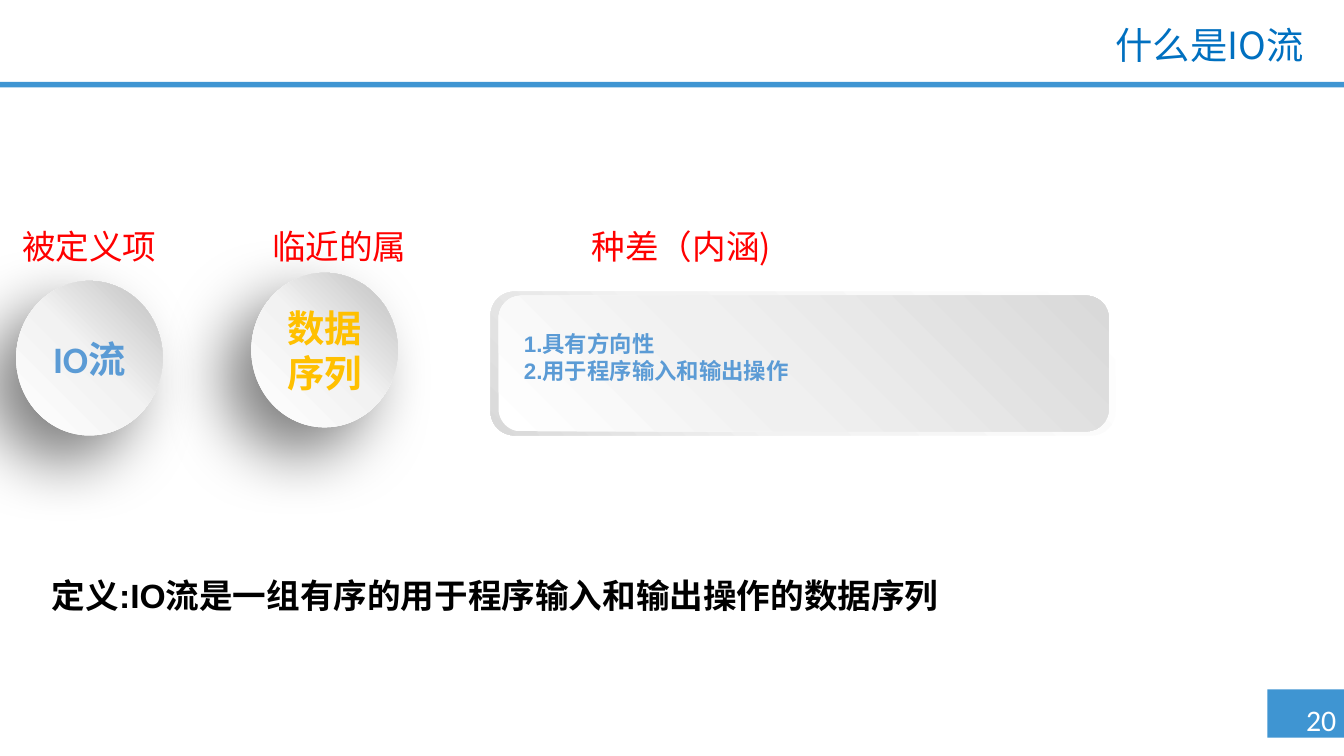
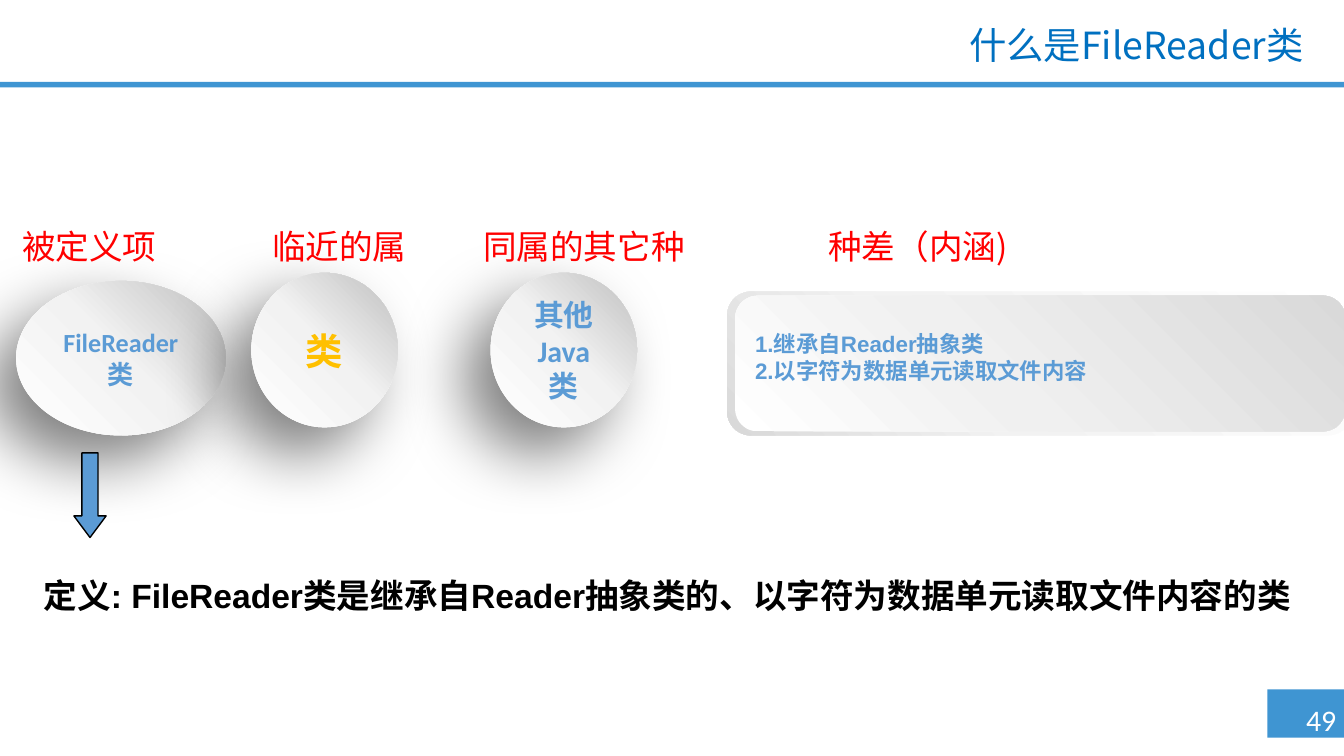
from lxml import etree
from pptx import Presentation
from pptx import util as u
from pptx.dml.color import RGBColor
from pptx.enum import shapes, text
from pptx.oxml.ns import qn

BAND = RGBColor(0x3F, 0x95, 0xD2)
TITLE = RGBColor(0x00, 0x70, 0xC0)
BLUE = RGBColor(0x5B, 0x9B, 0xD5)
GOLD = RGBColor(0xFF, 0xC0, 0x00)
RED = RGBColor(0xFF, 0x00, 0x00)
BLACK = RGBColor(0x00, 0x00, 0x00)
WHITE = RGBColor(0xFF, 0xFF, 0xFF)
LIGHT = RGBColor(0xF2, 0xF2, 0xF2)
PALE = RGBColor(0xF0, 0xF0, 0xF0)
SILVER = RGBColor(0xD9, 0xD9, 0xD9)
GREY = RGBColor(0xBF, 0xBF, 0xBF)

ARIAL, CALIBRI, NOTO = "Arial", "Calibri", "Noto Sans CJK SC"
CELL = u.Inches(0.1)  # the slide is a grid of 100 columns by 56.25 rows
CENTER, RIGHT, LEFT = text.PP_ALIGN.CENTER, text.PP_ALIGN.RIGHT, text.PP_ALIGN.LEFT
SHAPE = shapes.MSO_SHAPE

CIRCLE_STOPS = [(0, WHITE), (51, LIGHT), (100, GREY)]
RIM_STOPS = [(0, WHITE), (62, LIGHT), (100, SILVER)]
FACE_STOPS = [(0, WHITE), (42, PALE), (100, SILVER)]


def cells(*lengths):
    return [round(length * CELL) for length in lengths]


def apply(target, values):
    for name, value in values.items():
        setattr(target, name, value)


def write(box, lines, size, color, font, align=CENTER, bold=False, spacing=None):
    """Fill a shape with lines; a line is a string or a list of (words, font)."""
    frame = box.text_frame
    for index, line in enumerate(lines):
        para = frame.paragraphs[0] if index == 0 else frame.add_paragraph()
        apply(para, {"alignment": align, "line_spacing": spacing})
        for words, name in [(line, font)] if isinstance(line, str) else line:
            span = para.add_run()
            span.text = words
            apply(span.font, {"name": name, "size": u.Pt(size), "bold": bold})
            span.font.color.rgb = color
            east = etree.SubElement(span._r.get_or_add_rPr(), qn("a:ea"))
            east.set("typeface", NOTO)


def add_text(page, place, lines, size, color, font, **style):
    box = page.shapes.add_textbox(*cells(*place))
    apply(box.text_frame, {"word_wrap": True,
                           "auto_size": text.MSO_AUTO_SIZE.SHAPE_TO_FIT_TEXT})
    write(box, lines, size, color, font, **style)
    return box


def add_plain(holder, kind, place, color=None):
    """Add a shape without outline or shadow."""
    shape = holder.shapes.add_shape(kind, *cells(*place))
    shape.shadow.inherit = False
    shape.line.fill.background()
    if color is not None:
        shape.fill.solid()
        shape.fill.fore_color.rgb = color
    return shape


def shade(shape, stops, angle):
    """Fill with a linear gradient; the angle runs counter-clockwise."""
    shape.fill.gradient()
    shape.fill.gradient_angle = angle
    stop_list = shape._element.spPr.find(".//" + qn("a:gsLst"))
    for old in list(stop_list):
        stop_list.remove(old)
    for percent, color in stops:
        stop = etree.SubElement(stop_list, qn("a:gs"), pos=str(percent * 1000))
        etree.SubElement(stop, qn("a:srgbClr"), val=str(color))


def cast_shadow(shape):
    effects = shape._element.spPr.find(qn("a:effectLst"))
    shadow = etree.SubElement(
        effects, qn("a:outerShdw"), blurRad=str(u.Pt(35)), dist=str(u.Pt(20)),
        dir=str(135 * 60000), algn="tr", rotWithShape="0")
    tint = etree.SubElement(shadow, qn("a:srgbClr"), val=str(BLACK))
    etree.SubElement(tint, qn("a:alpha"), val="50000")


def add_circle(page, left, top, words, size, color, font, width=10.9):
    circle = add_plain(page, SHAPE.OVAL, (left, top, width, 11.5))
    shade(circle, CIRCLE_STOPS, 45)
    cast_shadow(circle)
    apply(circle.text_frame, {"word_wrap": True,
                              "vertical_anchor": text.MSO_ANCHOR.MIDDLE})
    write(circle, [words], size, color, font, bold=True)


def add_label(page, left, width, words):
    add_text(page, (left, 16.3, width, 4), [words], 18, RED, NOTO)


def add_difference(page, left, text_left, lines):
    """Add the heading, the two-layer panel and its numbered lines."""
    add_label(page, left + 4.5, 19.4, "种差（内涵)")
    panel = page.shapes.add_group_shape()
    rim = add_plain(panel, SHAPE.ROUNDED_RECTANGLE, (left, 21.7, 46.5, 10.7))
    shade(rim, RIM_STOPS, 225)
    face = add_plain(panel, SHAPE.ROUNDED_RECTANGLE, (left + 0.6, 22, 45.4, 10.1))
    shade(face, FACE_STOPS, 45)
    add_text(page, (text_left, 24.1, 45, 5), lines, 12, BLUE, ARIAL,
             align=LEFT, bold=True)


def add_definition(page, left, width, words):
    add_text(page, (left, 42.3, width, 4), [words], 18, BLACK, ARIAL, bold=True)


def add_down_arrow(page):
    arrow = add_plain(page, SHAPE.DOWN_ARROW, (5.5, 33.7, 2.4, 6.3), BLUE)
    arrow.adjustments[0], arrow.adjustments[1] = 0.5, 0.67
    arrow.line.color.rgb = BLACK
    arrow.line.width = u.Pt(0.75)


def add_page_number(page, number):
    add_plain(page, SHAPE.RECTANGLE, (94.3, 51.3, 5.7, 3.6), BAND)
    box = add_text(page, (96.6, 51.7, 3.4, 3.7), [number], 16, WHITE, CALIBRI)
    apply(box.text_frame, {"margin_left": 0, "margin_right": 0})


def add_page(deck, title, number):
    page = deck.slides.add_slide(deck.slide_layouts[6])
    add_page_number(page, number)
    add_plain(page, SHAPE.RECTANGLE, (0, 6.1, 100, 0.4), BAND)
    add_text(page, (24, 1.5, 74, 4.1), [title], 20, TITLE, NOTO,
             align=RIGHT, spacing=0.9)
    return page


def add_terms(page, term, term_size, term_width, genus):
    """Add the defined term and its nearest genus, each with a heading."""
    add_circle(page, 1.2, 20.9, term, term_size, BLUE, CALIBRI, term_width)
    add_label(page, -3.5, 20.3, "被定义项")
    add_circle(page, 18.7, 20.3, genus, 20, GOLD, NOTO)
    add_label(page, 14.1, 22.3, "临近的属")


def build_stream_page(deck):
    title = [("什么是", ARIAL), ("IO", NOTO), ("流", ARIAL)]
    page = add_page(deck, title, "20")
    add_terms(page, "IO流", 20, 10.9, "数据序列")
    add_difference(page, 36.5, 38, ["1.具有方向性", "2.用于程序输入和输出操作"])
    add_definition(page, 2.3, 69.1,
                   "定义:IO流是一组有序的用于程序输入和输出操作的数据序列")


def build_reader_page(deck):
    page = add_page(deck, "什么是FileReader类", "49")
    add_terms(page, "FileReader类", 14, 15.6, "类")
    add_difference(page, 54.1, 55.2,
                   ["1.继承自Reader抽象类", "2.以字符为数据单元读取文件内容"])
    add_down_arrow(page)
    add_circle(page, 36.5, 20.3, "其他Java类", 16, BLUE, CALIBRI)
    add_label(page, 32.3, 22.3, "同属的其它种")
    add_definition(page, 2, 95.3, "定义: FileReader类是继承自Reader抽象类的、"
                                  "以字符为数据单元读取文件内容的类")


def main():
    deck = Presentation()
    deck.slide_width, deck.slide_height = cells(100, 56.25)
    build_stream_page(deck)
    build_reader_page(deck)
    deck.save("out.pptx")


if __name__ == "__main__":
    main()
